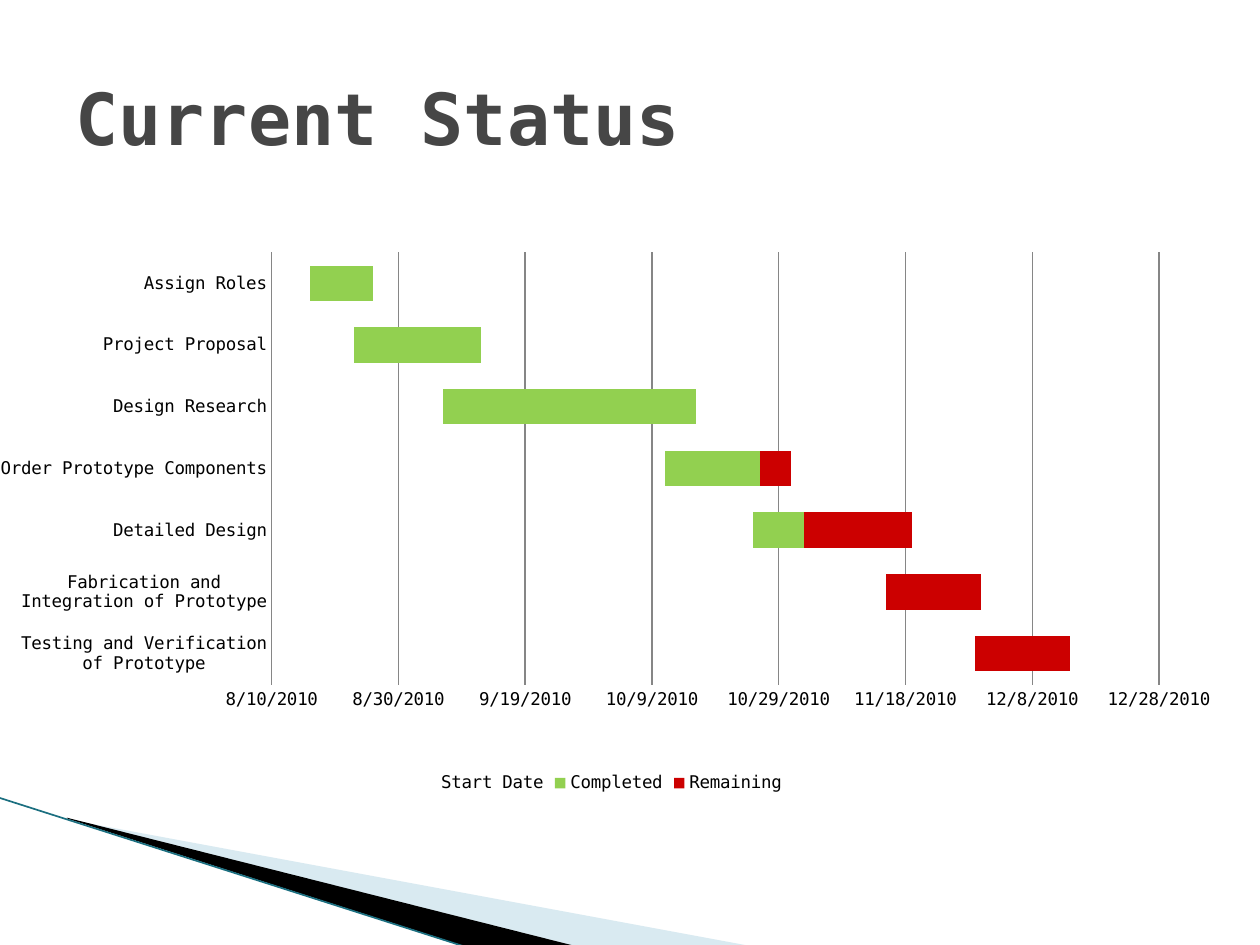
"""Build a project status slide with a stacked-bar Gantt chart."""
from lxml.etree import SubElement
from pptx import Presentation
from pptx.chart.data import CategoryChartData
from pptx.dml.color import RGBColor
from pptx.enum.chart import XL_CHART_TYPE, XL_LEGEND_POSITION, XL_TICK_MARK
from pptx.enum.shapes import MSO_CONNECTOR
from pptx.enum.text import MSO_ANCHOR
from pptx.oxml.ns import qn
from pptx.util import Pt

FONT = "DejaVu Sans Mono"
BLACK = RGBColor(0x00, 0x00, 0x00)
TITLE_GRAY = RGBColor(0x46, 0x46, 0x46)
GRID_GRAY = RGBColor(0x86, 0x86, 0x86)
PALE_BLUE = RGBColor(0xA0, 0xCB, 0xDC)
TEAL = RGBColor(0x1B, 0x6F, 0x80)
GREEN = RGBColor(0x92, 0xD0, 0x50)
RED = RGBColor(0xCC, 0x00, 0x00)

TASKS = [
    ("Testing and Verification of Prototype", 40511, 0, 15),
    ("Fabrication and Integration of Prototype", 40497, 0, 15),
    ("Detailed Design", 40476, 8, 17),
    ("Order Prototype Components", 40462, 15, 5),
    ("Design Research", 40427, 40, 0),
    ("Project Proposal", 40413, 20, 0),
    ("Assign Roles", 40406, 10, 0),
]
SERIES = [("Start Date", None), ("Completed", GREEN), ("Remaining", RED)]
PLOT_LAYOUT = {
    "layoutTarget": "inner", "xMode": "edge", "yMode": "edge",
    "x": 0.225, "y": 0.134, "w": 0.735, "h": 0.686,
}


class StatusSlide:
    """Hold the slide and its style, and add each kind of element."""

    def __init__(self, slide, font_name):
        self.slide = slide
        self.font_name = font_name

    def set_font(self, font, size, color, bold=False):
        font.name = self.font_name
        font.size = Pt(size)
        font.bold = bold
        font.color.rgb = color

    def add_polygon(self, points, color, opacity=None):
        start, *rest = [(Pt(x), Pt(y)) for x, y in points]
        builder = self.slide.shapes.build_freeform(*start)
        builder.add_line_segments(rest, close=True)
        shape = builder.convert_to_shape()
        shape.shadow.inherit = False
        shape.fill.solid()
        shape.fill.fore_color.rgb = color
        shape.line.fill.background()
        if opacity is not None:
            fill_color = shape.fill._xPr.find(qn("a:solidFill"))[0]
            SubElement(fill_color, qn("a:alpha"), val=str(opacity * 1000))

    def add_line(self, start, end, color, width):
        connector = self.slide.shapes.add_connector(
            MSO_CONNECTOR.STRAIGHT, *[Pt(value) for value in start + end])
        connector.line.color.rgb = color
        connector.line.width = Pt(width)
        SubElement(connector._element.spPr, qn("a:effectLst"))

    def add_title(self, text, left, top, width, height):
        shape = self.slide.shapes.add_textbox(Pt(left), Pt(top), Pt(width), Pt(height))
        frame = shape.text_frame
        frame.word_wrap = True
        frame.vertical_anchor = MSO_ANCHOR.MIDDLE
        paragraph = frame.paragraphs[0]
        paragraph.text = text
        self.set_font(paragraph.font, 41, TITLE_GRAY, bold=True)

    def add_gantt(self, left, top, width, height):
        names, *columns = zip(*TASKS)
        data = CategoryChartData()
        data.categories = names
        for (name, _), values in zip(SERIES, columns):
            data.add_series(name, values)
        chart = self.slide.shapes.add_chart(
            XL_CHART_TYPE.BAR_STACKED, Pt(left), Pt(top), Pt(width), Pt(height), data).chart
        self.set_font(chart.font, 10, BLACK)
        chart.has_title = False
        chart.has_legend = True
        chart.legend.position = XL_LEGEND_POSITION.BOTTOM
        chart.legend.include_in_layout = False

        plot = chart.plots[0]
        plot.gap_width = 75
        plot.overlap = 100
        plot.vary_by_categories = False
        for series, (_, color) in zip(plot.series, SERIES):
            if color is None:
                series.format.fill.background()
            else:
                series.format.fill.solid()
                series.format.fill.fore_color.rgb = color
        self.style_axes(chart.category_axis, chart.value_axis)
        self.place_plot(chart)

    def style_axes(self, task_axis, date_axis):
        for axis in (task_axis, date_axis):
            axis.major_tick_mark = XL_TICK_MARK.NONE
            axis.minor_tick_mark = XL_TICK_MARK.NONE
        date_axis.minimum_scale = 40400
        date_axis.maximum_scale = 40540
        date_axis.major_unit = 20
        date_axis.tick_labels.number_format = "m/d/yyyy"
        date_axis.tick_labels.number_format_is_linked = False
        date_axis.format.line.fill.background()
        date_axis.has_major_gridlines = True
        for line in (task_axis.format.line, date_axis.major_gridlines.format.line):
            line.color.rgb = GRID_GRAY
            line.width = Pt(0.75)

    def place_plot(self, chart):
        plot_area = chart._chartSpace.chart.plotArea
        for layout in plot_area.findall(qn("c:layout")):
            plot_area.remove(layout)
        layout = SubElement(plot_area, qn("c:layout"))
        plot_area.insert(0, layout)
        manual = SubElement(layout, qn("c:manualLayout"))
        for tag, value in PLOT_LAYOUT.items():
            SubElement(manual, qn(f"c:{tag}"), val=str(value))


def main():
    presentation = Presentation()
    presentation.slide_width = Pt(720)
    presentation.slide_height = Pt(540)
    slide = presentation.slides.add_slide(presentation.slide_layouts[6])
    status = StatusSlide(slide, FONT)
    status.add_polygon([(39.6, 468.5), (428.4, 540.5), (328.3, 540.5), (39.6, 468)],
                       PALE_BLUE, opacity=40)
    status.add_polygon([(38.2, 467.3), (329, 540.7), (267.8, 541.4), (38.9, 468)], BLACK)
    status.add_line((-0.7, 455.8), (267.1, 541.4), TEAL, 0.95)
    status.add_title("Current Status", 36, 21.6, 648, 90)
    status.add_gantt(0, 96, 692.5, 360)
    presentation.save("out.pptx")


if __name__ == "__main__":
    main()
